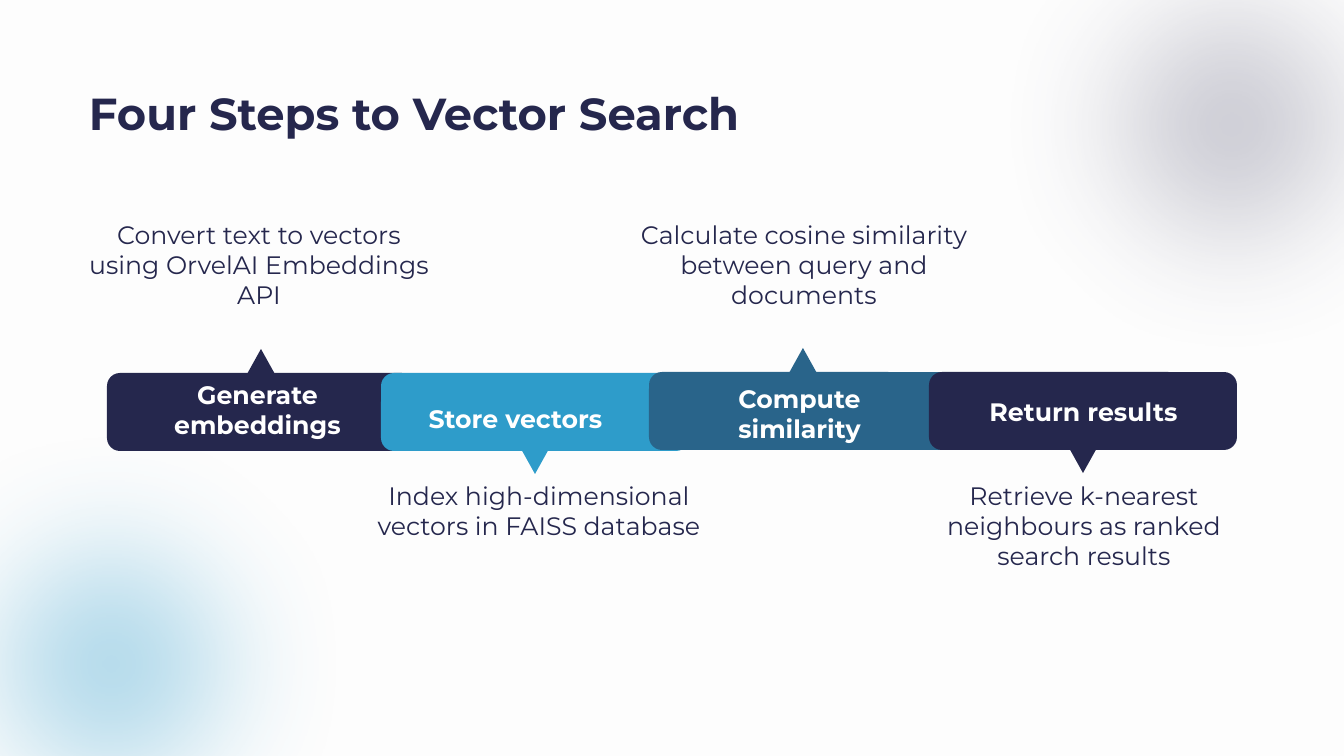
import pptx
import pptx.util
import pptx.dml.color
import pptx.enum.shapes
import pptx.enum.text
import pptx.oxml
import pptx.oxml.ns

PX = 914400 / 100.8
KIND = pptx.enum.shapes.MSO_SHAPE
ALIGN = pptx.enum.text.PP_ALIGN
THEME = {
    "font": "Montserrat", "head": 32, "body": 18,
    "back": "FDFDFD", "navy": "25274D", "sky": "2E9CCA",
    "teal": "29648A", "slate": "464866", "white": "FFFFFF",
}


def draw(kind, box, tint):
    shape = slide.shapes.add_shape(kind, *[round(n * PX) for n in box])
    shape.shadow.inherit = False
    shape.fill.solid()
    shape.fill.fore_color.rgb = pptx.dml.color.RGBColor.from_string(THEME[tint])
    shape.line.fill.background()
    return shape


def write(text, box, tint, size="body", bold=False, align=ALIGN.CENTER, lead=None):
    frame = slide.shapes.add_textbox(*[round(n * PX) for n in box]).text_frame
    frame.word_wrap = True
    para = frame.paragraphs[0]
    para.alignment = align
    if lead:
        para.line_spacing = pptx.util.Pt(lead)
    run = para.add_run()
    run.text = text
    run.font.name = THEME["font"]
    run.font.size = pptx.util.Pt(THEME[size])
    run.font.bold = bold
    run.font.color.rgb = pptx.dml.color.RGBColor.from_string(THEME[tint])


deck = pptx.Presentation()
deck.slide_width = round(1344 * PX)
deck.slide_height = round(756 * PX)
slide = deck.slides.add_slide(deck.slide_layouts[6])
slide.background.fill.solid()
slide.background.fill.fore_color.rgb = pptx.dml.color.RGBColor.from_string(THEME["back"])

for left, top, tint, alpha in [(-187, 366, "sky", 40), (934, -173, "slate", 30)]:
    glow = draw(KIND.OVAL, (left, top, 597, 597), tint)
    color = glow._element.spPr.find(".//" + pptx.oxml.ns.qn("a:srgbClr"))
    ns = pptx.oxml.ns.nsdecls("a")
    color.append(pptx.oxml.parse_xml(f'<a:alpha {ns} val="{alpha * 1000}"/>'))
    effects = glow._element.spPr.find(pptx.oxml.ns.qn("a:effectLst"))
    effects.append(pptx.oxml.parse_xml(f'<a:softEdge {ns} rad="{round(140 * PX)}"/>'))

write("Four Steps to Vector Search", (79, 57, 1171, 60), "navy", "head", True, ALIGN.LEFT, 55.5)

steps = [
    ("Generate embeddings", "Convert text to vectors using OrvelAI Embeddings API",
     "navy", 107, 373, (130, 374), 78, True, None),
    ("Store vectors", "Index high-dimensional vectors in FAISS database",
     "sky", 381, 373, (388, 390), 358, False, 27.5),
    ("Compute similarity", "Calculate cosine similarity between query and documents",
     "teal", 649, 372, (672, 378), 623, True, None),
    ("Return results", "Retrieve k-nearest neighbours as ranked search results",
     "navy", 929, 372, (956, 391), 903, False, None),
]
for name, note, tint, left, top, spot, side, above, lead in steps:
    draw(KIND.ROUNDED_RECTANGLE, (left, top, 308, 78), tint)
    tip = draw(KIND.ISOSCELES_TRIANGLE, (left + 139, top - 24 if above else top + 74, 30, 27), tint)
    tip.rotation = 0 if above else 180
for name, note, tint, left, top, spot, side, above, lead in steps:
    write(name, (*spot, 255, 72), "white", bold=True, lead=lead)
    write(note, (side, 214 if above else 475, 362, 102), "navy")

deck.save("out.pptx")
